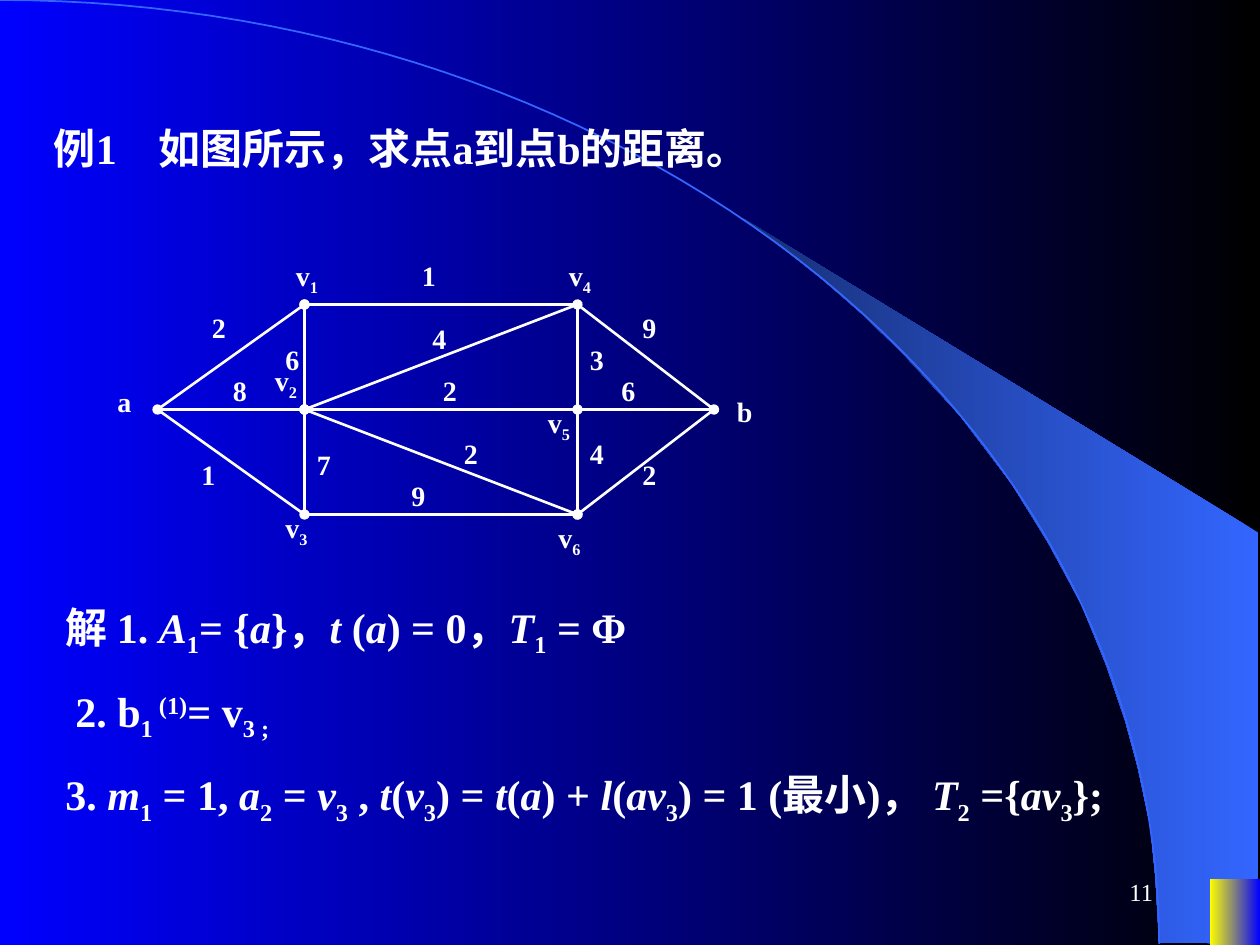
"""Build a slide that works out a shortest path in a weighted graph."""
from math import cos, pi, sin

from lxml.etree import SubElement
from pptx import Presentation
from pptx.dml.color import RGBColor
from pptx.enum.shapes import MSO_CONNECTOR as Connector, MSO_SHAPE as Shape
from pptx.enum.text import MSO_ANCHOR as Anchor, MSO_AUTO_SIZE as AutoSize, PP_ALIGN as Align
from pptx.oxml.ns import qn
from pptx.util import Inches, Pt

WIDTH, HEIGHT = 10, 7.5
CELL = 1 / 12
FONT, WHITE, BLUE = "Times New Roman", "FFFFFF", "3366FF"
ARC_WIDTH, ARC_HEIGHT, ARC_STEPS = 9.2, 7.49, 60

CRESCENT = [
    (9.2, 7.48), (9.99, 7.49), (9.99, 4.23), (5.89, 1.73), (6.24, 1.99), (6.53, 2.22),
    (6.85, 2.5), (7.16, 2.8), (7.62, 3.3), (8.03, 3.84), (8.32, 4.31), (8.58, 4.79),
    (8.78, 5.28), (8.93, 5.72), (9.03, 6.09), (9.13, 6.56), (9.17, 6.96),
]

NODES = {
    "a": (15, 39), "v1": (29, 29), "v2": (29, 39), "v3": (29, 49),
    "v4": (55, 29), "v5": (55, 39), "v6": (55, 49), "b": (68, 39),
}
EDGES = [
    ("v1", "v4"), ("v1", "a"), ("a", "v3"), ("v1", "v3"), ("a", "v2"), ("v4", "v6"),
    ("v3", "v6"), ("v2", "v5"), ("v5", "b"), ("v4", "b"), ("b", "v6"), ("v4", "v2"),
    ("v2", "v6"),
]
DOTTED_EDGES = {("v1", "a"), ("v1", "v3"), ("v2", "v5"), ("b", "v6"), ("v4", "v2"), ("v2", "v6")}
WEIGHTS = [
    ("8", 21, 35), ("1", 18, 43), ("2", 19, 29), ("6", 26, 32), ("1", 39, 24),
    ("4", 40, 30), ("2", 41, 35), ("2", 43, 41), ("7", 29, 42), ("9", 38, 45),
    ("2", 60, 43), ("4", 55, 41), ("6", 58, 35), ("9", 60, 29), ("3", 55, 32),
]
NODE_LABELS = [
    ("a", 10, 36), ("v|_1", 27, 24), ("v|_2", 25, 34), ("v|_3", 26, 48),
    ("v|_4", 53, 24), ("v|_5", 51, 38), ("v|_6", 52, 49), ("b", 69, 37),
]

TITLE = "例1\t如图所示，求点a到点b的距离。"
STEPS = [
    ("解 1. |/A|_1|= {|/a|}，|/t |(|/a|) = 0，|/T|_1| = Φ", 0.42, 7.83),
    ("2. b|_1 |^(1)|= v|_3 ;", 0.5, 7.83),
    ("3. |/m|_1| = 1, |/a|_2| = |/v|_3| , |/t|(|/v|_3|) = |/t|(|/a|) +|/ l|(|/av|_3"
     "|) = 1 (最小)， |/T|_2| ={|/av|_3|};", 0.42, 9.08),
]
STEP_TOP, STEP_PITCH, STEP_HEIGHT = 4.72, 0.665, 0.56
BASELINES = {"_": "-25000", "^": "30000"}


def color(value):
    return RGBColor.from_string(value)


def paint_gradient(fill, right, left):
    fill.gradient()
    fill.gradient_angle = 180
    for stop, value, position in zip(fill.gradient_stops, (right, left), (0, 1)):
        stop.color.rgb = color(value)
        stop.position = position


def add_outline(shapes, points, closed):
    corners = [(Inches(x), Inches(y)) for x, y in points]
    builder = shapes.build_freeform(*corners[0])
    builder.add_line_segments(corners[1:], close=closed)
    shape = builder.convert_to_shape()
    shape.shadow.inherit = False
    return shape


def add_text(shapes, markup, left, top, width, height, size, bold=True, anchor=Anchor.TOP):
    """Add a box of runs split by bars: / is italic, _ subscript, ^ superscript."""
    box = shapes.add_textbox(Inches(left), Inches(top), Inches(width), Inches(height))
    frame = box.text_frame
    frame.word_wrap = True
    frame.auto_size = AutoSize.SHAPE_TO_FIT_TEXT if bold else AutoSize.NONE
    frame.vertical_anchor = anchor
    paragraph = frame.paragraphs[0]
    for piece in markup.split("|"):
        mark = piece[0] if piece[0] in "/_^" else ""
        run = paragraph.add_run()
        run.text = piece[len(mark):]
        font = run.font
        font.name, font.size, font.bold = FONT, Pt(size), bold
        font.italic = mark == "/"
        font.color.rgb = color(WHITE)
        if mark in BASELINES:
            run._r.get_or_add_rPr().set("baseline", BASELINES[mark])
    return paragraph


def add_edge(shapes, edge):
    ends = [Inches(step * CELL) for node in edge for step in NODES[node]]
    connector = shapes.add_connector(Connector.STRAIGHT, *ends)
    connector.line.color.rgb = color(WHITE)
    connector.line.width = Pt(1.5)
    if edge in DOTTED_EDGES:
        line = connector.line._get_or_add_ln()
        for end in ("a:headEnd", "a:tailEnd"):
            SubElement(line, qn(end), type="oval")
    SubElement(connector._element.spPr, qn("a:effectLst"))


def add_backdrop(slide):
    paint_gradient(slide.background.fill, "000000", "0000FF")
    crescent = add_outline(slide.shapes, CRESCENT, True)
    paint_gradient(crescent.fill, BLUE, "172F75")
    crescent.line.fill.background()

    angles = [pi / 2 * step / ARC_STEPS for step in range(ARC_STEPS + 1)]
    curve = [(ARC_WIDTH * sin(angle), ARC_HEIGHT * (1 - cos(angle))) for angle in angles]
    arc = add_outline(slide.shapes, curve, False)
    arc.fill.background()
    arc.line.color.rgb = color(BLUE)
    arc.line.width = Pt(1)

    corner = slide.shapes.add_shape(
        Shape.RECTANGLE, Inches(9.6), Inches(6.98), Inches(0.4), Inches(0.52))
    corner.shadow.inherit = False
    paint_gradient(corner.fill, "0000FF", "FFFF00")
    corner.line.fill.background()


def add_graph(slide):
    shapes = slide.shapes.add_group_shape().shapes
    for edge in EDGES:
        add_edge(shapes, edge)
    for labels, height in ((WEIGHTS, 0.37), (NODE_LABELS, 0.41)):
        for markup, column, row in labels:
            add_text(shapes, markup, column * CELL, row * CELL, 0.43, height, 16)


def main():
    presentation = Presentation()
    presentation.slide_width, presentation.slide_height = Inches(WIDTH), Inches(HEIGHT)
    slide = presentation.slides.add_slide(presentation.slide_layouts[6])
    add_backdrop(slide)

    title = add_text(slide.shapes, TITLE, 0.33, 0.92, 9, 0.5, 24)
    tabs = SubElement(title._p.get_or_add_pPr(), qn("a:tabLst"))
    SubElement(tabs, qn("a:tab"), pos=str(Inches(0.83)), algn="l")

    add_graph(slide)
    for index, (markup, left, width) in enumerate(STEPS):
        top = STEP_TOP + index * STEP_PITCH
        add_text(slide.shapes, markup, left, top, width, STEP_HEIGHT, 24, anchor=Anchor.MIDDLE)
    number = add_text(
        slide.shapes, "11", 7.17, 6.83, 2.08, 0.5, 14, bold=False, anchor=Anchor.MIDDLE)
    number.alignment = Align.RIGHT
    presentation.save("out.pptx")


if __name__ == "__main__":
    main()
